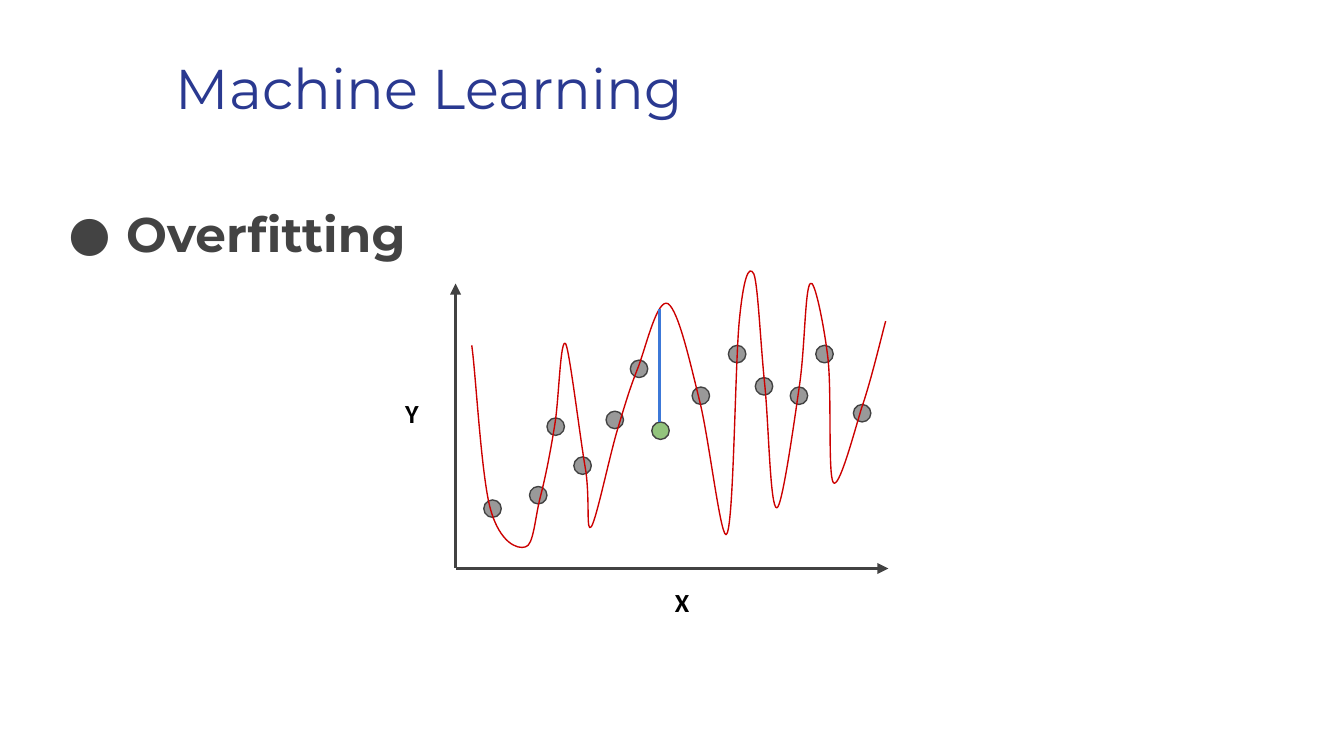
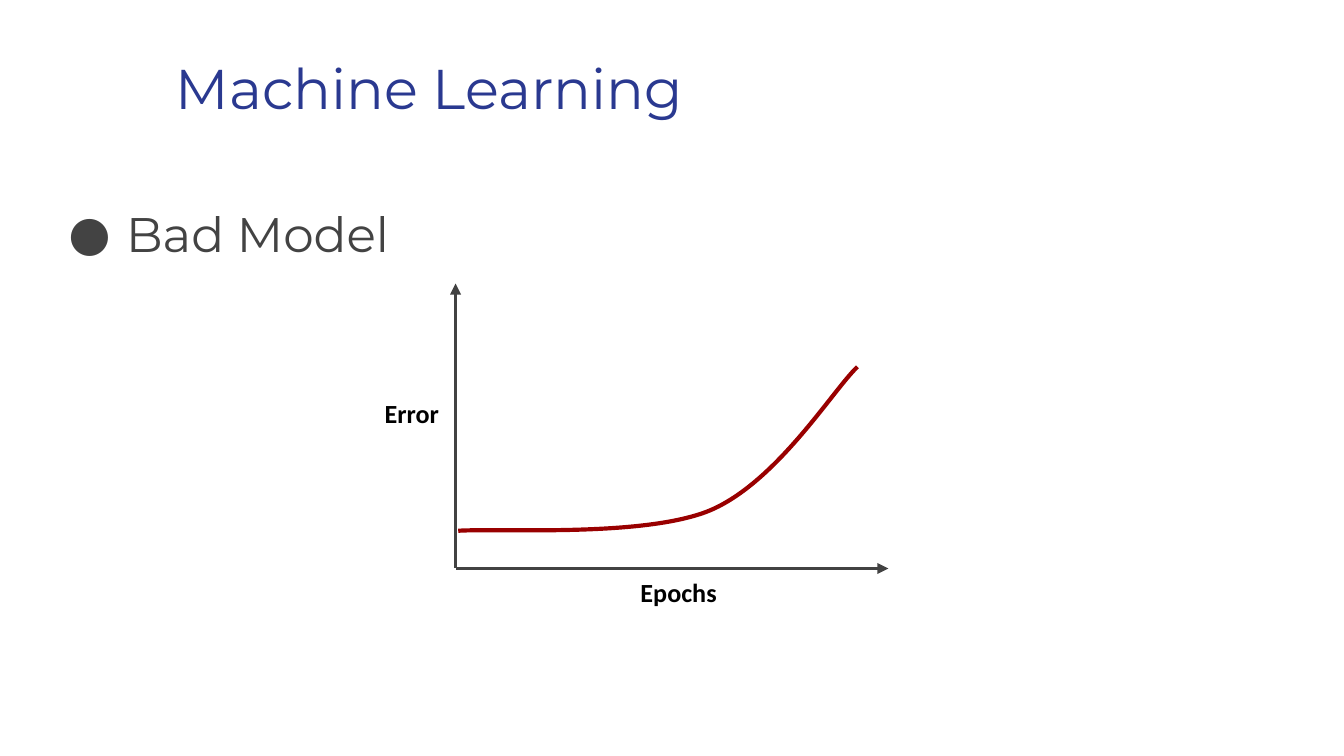
from dataclasses import dataclass

from lxml import etree
from pptx import Presentation
from pptx.dml.color import RGBColor
from pptx.enum import shapes as kinds, text as txt
from pptx.oxml.ns import qn
from pptx.util import Inches, Pt

NAVY = RGBColor(0x2A, 0x39, 0x90)
SLATE = RGBColor(0x43, 0x43, 0x43)
INK = RGBColor(0x42, 0x42, 0x42)
BLACK = RGBColor(0, 0, 0)
GRAY = RGBColor(0x99, 0x99, 0x99)
GREEN = RGBColor(0x93, 0xC4, 0x7D)
BLUE = RGBColor(0x3C, 0x78, 0xD8)
RED = RGBColor(0xCC, 0, 0)
MAROON = RGBColor(0x99, 0, 0)

HEAD, SMALL = "Montserrat", "Calibri"
DOT = 0.13
LEFT, TOP, RIGHT, BASE = 3.39, 2.11, 6.61, 4.23


@dataclass
class Label:
    """Text with its box and font."""
    words: str
    box: tuple[float, float, float, float]
    size: float
    font: str
    color: RGBColor
    bold: bool = False
    align: txt.PP_ALIGN = txt.PP_ALIGN.LEFT


@dataclass
class Curve:
    """A chain of cubic arcs: the start, then three points per arc."""
    start: tuple[float, float]
    arcs: list[tuple[float, float, float, float, float, float]]
    color: RGBColor
    width: float


def add_label(slide, label: Label):
    """Draw a label and return its paragraph."""
    box = slide.shapes.add_textbox(*map(Inches, label.box))
    frame = box.text_frame
    frame.word_wrap = True
    frame.margin_left = frame.margin_right = Inches(0.1)
    frame.margin_top = frame.margin_bottom = Inches(0.1)
    frame.text = label.words
    para = frame.paragraphs[0]
    para.alignment = label.align
    font = para.runs[0].font
    font.name, font.size, font.bold = label.font, Pt(label.size), label.bold
    font.color.rgb = label.color
    return para


def add_point(slide, words: str, bold: bool) -> None:
    """Draw the bullet line under the title."""
    para = add_label(slide, Label(words, (0.34, 1.35, 9.32, 3.65), 26, HEAD, SLATE, bold))
    para.line_spacing = 1.15
    props = para._p.get_or_add_pPr()
    props.set("marL", str(Inches(0.5)))
    props.set("indent", str(Inches(-0.43)))
    tint = etree.SubElement(props, qn("a:buClr"))
    etree.SubElement(tint, qn("a:srgbClr"), val=str(SLATE))
    etree.SubElement(props, qn("a:buFont"), typeface=HEAD)
    etree.SubElement(props, qn("a:buChar"), char="●")


def add_line(slide, start: tuple, end: tuple, color: RGBColor, arrow: bool = False) -> None:
    """Draw a straight line, with an arrowhead at its start if asked."""
    line = slide.shapes.add_connector(
        kinds.MSO_CONNECTOR.STRAIGHT, *map(Inches, (*start, *end)))
    line.line.color.rgb = color
    line.line.width = Pt(1.5)
    if arrow:
        etree.SubElement(line.line._get_or_add_ln(), qn("a:headEnd"), type="triangle")
    etree.SubElement(line._element.spPr, qn("a:effectLst"))


def add_dot(slide, left: float, top: float, color: RGBColor = GRAY) -> None:
    """Draw one data point."""
    dot = slide.shapes.add_shape(
        kinds.MSO_SHAPE.OVAL, *map(Inches, (left, top, DOT, DOT)))
    dot.shadow.inherit = False
    dot.fill.solid()
    dot.fill.fore_color.rgb = color
    dot.line.color.rgb = INK
    dot.line.width = Pt(0.75)


def add_curve(slide, curve: Curve) -> None:
    """Draw a smooth open curve."""
    points = [(Inches(arc[i]), Inches(arc[i + 1])) for arc in curve.arcs for i in (0, 2, 4)]
    pen = slide.shapes.build_freeform(*map(Inches, curve.start))
    pen.add_line_segments(points, close=False)
    shape = pen.convert_to_shape()
    shape.shadow.inherit = False
    shape.fill.background()
    shape.line.color.rgb = curve.color
    shape.line.width = Pt(curve.width)
    # Each run of three straight steps becomes one cubic arc.
    steps = list(shape._element.iter(qn("a:lnTo")))
    for i in range(0, len(steps), 3):
        arc = etree.Element(qn("a:cubicBezTo"))
        steps[i].addprevious(arc)
        for step in steps[i:i + 3]:
            arc.append(step[0])
            step.getparent().remove(step)


def add_base(deck, point: str, bold: bool = False):
    """Start a slide with title, bullet line and both axes."""
    slide = deck.slides.add_slide(deck.slide_layouts[6])
    add_label(slide, Label("Machine Learning", (1.21, 0.3, 9.32, 0.66), 30, HEAD, NAVY))
    add_point(slide, point, bold)
    for tip in ((LEFT, TOP), (RIGHT, BASE)):
        add_line(slide, tip, (LEFT, BASE), INK, arrow=True)
    return slide


def add_names(slide, side: str, foot: str, box: tuple) -> None:
    """Name the two axes; box places the lower name."""
    for words, place in ((side, (2.71, 2.86, 0.71, 0.49)), (foot, box)):
        add_label(slide, Label(words, place, 14, SMALL, BLACK, True, txt.PP_ALIGN.CENTER))


DOTS = [
    (3.94, 3.62), (4.07, 3.11), (4.51, 3.06), (4.69, 2.68), (5.15, 2.88), (5.42, 2.57),
    (5.88, 2.88), (5.62, 2.81), (6.07, 2.57), (6.35, 3.01), (4.27, 3.4), (3.6, 3.72),
]

WILD = Curve((3.51, 2.57), [
    (3.54, 2.77, 3.58, 3.54, 3.65, 3.79),
    (3.72, 4.04, 3.85, 4.09, 3.91, 4.07),
    (3.97, 4.06, 3.98, 3.86, 4.02, 3.7),
    (4.06, 3.55, 4.1, 3.34, 4.13, 3.15),
    (4.16, 2.96, 4.17, 2.5, 4.21, 2.56),
    (4.24, 2.62, 4.32, 3.29, 4.36, 3.51),
    (4.39, 3.74, 4.36, 3.97, 4.4, 3.92),
    (4.44, 3.86, 4.54, 3.37, 4.6, 3.18),
    (4.66, 2.98, 4.69, 2.88, 4.75, 2.73),
    (4.81, 2.57, 4.89, 2.22, 4.97, 2.26),
    (5.05, 2.31, 5.14, 2.72, 5.21, 3),
    (5.28, 3.29, 5.37, 4.07, 5.41, 3.97),
    (5.46, 3.87, 5.47, 2.72, 5.5, 2.4),
    (5.53, 2.08, 5.57, 1.96, 5.61, 2.04),
    (5.64, 2.12, 5.66, 2.57, 5.69, 2.86),
    (5.72, 3.15, 5.73, 3.78, 5.78, 3.78),
    (5.82, 3.78, 5.91, 3.14, 5.95, 2.86),
    (5.99, 2.58, 5.99, 2.14, 6.03, 2.11),
    (6.06, 2.07, 6.13, 2.41, 6.16, 2.66),
    (6.19, 2.91, 6.16, 3.53, 6.2, 3.59),
    (6.24, 3.65, 6.35, 3.24, 6.41, 3.04),
    (6.48, 2.84, 6.56, 2.5, 6.59, 2.39),
], RED, 0.75)

RISE = Curve((3.41, 3.95), [
    (3.72, 3.93, 4.79, 4, 5.28, 3.8),
    (5.78, 3.59, 6.2, 2.9, 6.38, 2.73),
], MAROON, 2.25)


def draw_fit(deck) -> None:
    """Show a curve that hits every point but misses a new one."""
    slide = add_base(deck, "Overfitting ", bold=True)
    for left, top in DOTS:
        add_dot(slide, left, top)
    add_curve(slide, WILD)
    add_names(slide, "Y", "X", (4.72, 4.26, 0.71, 0.49))
    add_dot(slide, 4.85, 3.14, GREEN)
    add_line(slide, (4.91, 3.14), (4.91, 2.3), BLUE)


def draw_error(deck) -> None:
    """Show error growing over the epochs."""
    slide = add_base(deck, "Bad Model")
    add_names(slide, "Error", "Epochs", (4.6, 4.19, 0.9, 0.49))
    add_curve(slide, RISE)


def main() -> None:
    """Build and save the deck."""
    deck = Presentation()
    deck.slide_width = Inches(10)
    deck.slide_height = deck.slide_width * 9 // 16
    draw_fit(deck)
    draw_error(deck)
    deck.save("out.pptx")


main()
